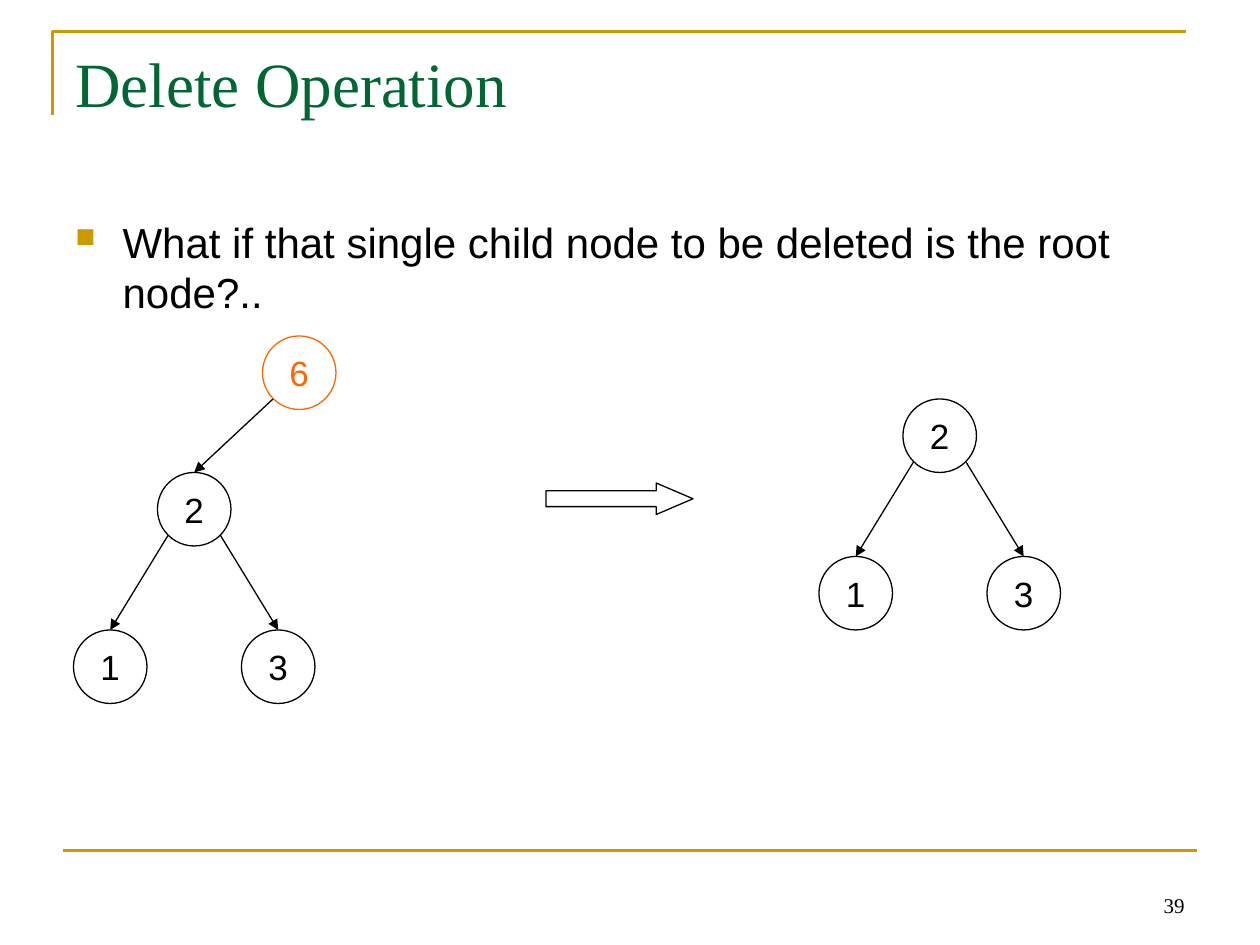
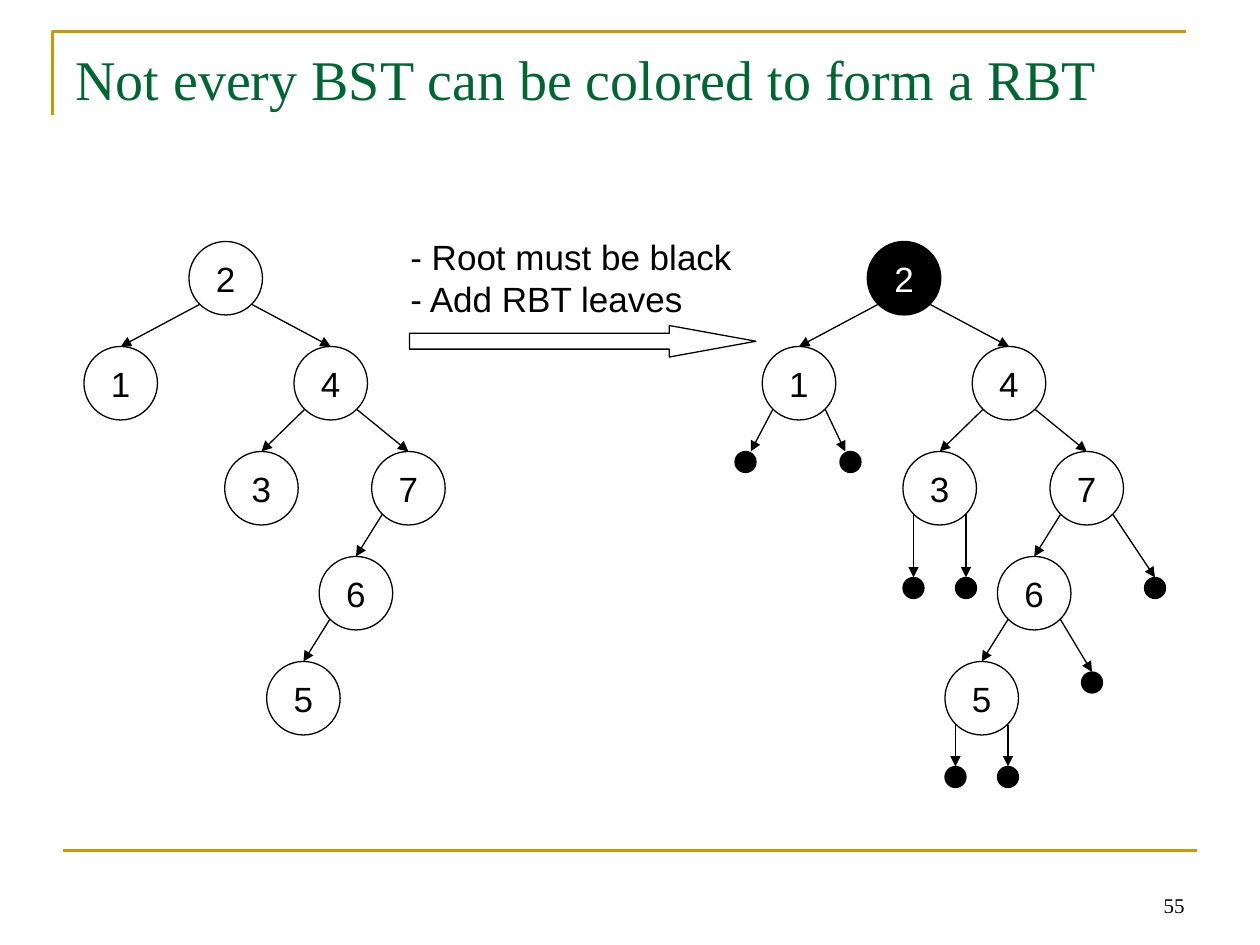
from lxml.etree import SubElement
from pptx import Presentation
from pptx.dml.color import RGBColor
from pptx.enum.shapes import MSO_CONNECTOR as LINK, MSO_SHAPE as SHAPE
from pptx.enum.text import MSO_ANCHOR as ANCHOR, PP_ALIGN as ALIGN
from pptx.oxml.ns import qn
from pptx.util import Pt

PX = 7620
NODE = 70
LEAF = 20
CORNER = 10
GOLD = RGBColor(0xCC, 0x99, 0x00)
GREEN = RGBColor(0x00, 0x66, 0x33)
ORANGE = RGBColor(0xFF, 0x66, 0x00)
BLACK = RGBColor(0x00, 0x00, 0x00)
WHITE = RGBColor(0xFF, 0xFF, 0xFF)
SERIF = "Times New Roman"
SANS = "Arial"


def write(shape, text, size, font=SANS, color=BLACK, align=ALIGN.LEFT,
          anchor=ANCHOR.TOP, wrap=True, margins=None, bullet=None):
    frame = shape.text_frame
    frame.word_wrap = wrap
    frame.vertical_anchor = anchor
    if margins is not None:
        frame.margin_left = frame.margin_right = margins
        frame.margin_top = frame.margin_bottom = margins
    frame.text = text
    for paragraph in frame.paragraphs:
        paragraph.alignment = align
        if bullet:
            properties = paragraph._p.get_or_add_pPr()
            properties.set("marL", str(45 * PX))
            properties.set("indent", str(-45 * PX))
            tint = SubElement(properties, qn("a:buClr"))
            SubElement(tint, qn("a:srgbClr"), val=str(GOLD))
            SubElement(properties, qn("a:buSzPct"), val="65000")
            SubElement(properties, qn("a:buChar"), char=bullet)
        for run in paragraph.runs:
            run.font.size = Pt(size)
            run.font.name = font
            run.font.color.rgb = color


def outline(item, color=BLACK, width=0.75, fill=None, arrowhead=False):
    item.line.color.rgb = color
    item.line.width = Pt(width)
    properties = item._element.spPr
    if arrowhead:
        SubElement(properties.find(qn("a:ln")), qn("a:tailEnd"), type="triangle")
    if item._element.tag == qn("p:cxnSp"):
        SubElement(properties, qn("a:effectLst"))
        return
    item.shadow.inherit = False
    if fill is None:
        item.fill.background()
    else:
        item.fill.solid()
        item.fill.fore_color.rgb = fill


single_child_root = [
    ("6", 250, 320, None),
    ("2", 150, 450, "6"),
    ("1", 70, 600, "2"),
    ("3", 230, 600, "2"),
]
after_delete = [
    ("2", 860, 380, None),
    ("1", 780, 530, "2"),
    ("3", 940, 530, "2"),
]
plain_bst = [
    ("2", 180, 230, None),
    ("1", 80, 330, "2"),
    ("4", 280, 330, "2"),
    ("3", 214, 430, "4"),
    ("7", 354, 430, "4"),
    ("6", 304, 530, "7"),
    ("5", 254, 630, "6"),
]
rbt_attempt = [(key, x + 646, y, parent) for key, x, y, parent in plain_bst]
rbt_leaves = [
    ("", 700, 430, "1"),
    ("", 800, 430, "1"),
    ("", 860, 550, "3"),
    ("", 910, 550, "3"),
    ("", 1090, 550, "7"),
    ("", 1030, 640, "6"),
    ("", 900, 730, "5"),
    ("", 950, 730, "5"),
]
leaf_aims = {700: 5, 800: -5}

pages = [
    dict(title="Delete Operation", title_size=36, number="39",
         trees=[(single_child_root, ORANGE, None), (after_delete, BLACK, None)],
         step_arrow=(520, 460, 140), head=1.167),
    dict(title="Not every BST can be colored to form a RBT", title_size=32, number="55",
         trees=[(plain_bst, BLACK, None), (rbt_attempt + rbt_leaves, BLACK, BLACK)],
         step_arrow=(390, 310, 330), head=2.75),
]

deck = Presentation()
deck.slide_width = 1200 * PX
deck.slide_height = 900 * PX
slides = []

for page in pages:
    slide = deck.slides.add_slide(deck.slide_layouts[6])
    slides.append(slide)
    shapes = slide.shapes

    corner_builder = shapes.build_freeform(50, 110, scale=PX)
    corner_builder.add_line_segments([(50, 30), (1130, 30)], close=False)
    outline(corner_builder.convert_to_shape(), GOLD, 1.5)
    footer_rule = shapes.add_connector(
        LINK.STRAIGHT, 60 * PX, 810 * PX, 1140 * PX, 810 * PX)
    outline(footer_rule, GOLD, 1.5)

    page_number = shapes.add_textbox(860 * PX, 820 * PX, 280 * PX, 60 * PX)
    write(page_number, page["number"], 12, font=SERIF, align=ALIGN.RIGHT,
          anchor=ANCHOR.BOTTOM)
    title = shapes.add_textbox(60 * PX, 36 * PX, 1080 * PX, 150 * PX)
    write(title, page["title"], page["title_size"], font=SERIF, color=GREEN)

    for tree, root_color, root_fill in page["trees"]:
        placed = {}
        for key, x, y, parent in tree:
            size = NODE if key else LEAF
            color = BLACK if parent else root_color
            fill = None if parent else root_fill
            circle = shapes.add_shape(SHAPE.OVAL, x * PX, y * PX, size * PX, size * PX)
            outline(circle, color, fill=fill if key else BLACK)
            if key:
                placed[key] = (x, y)
                write(circle, key, 20, color=WHITE if fill else color, align=ALIGN.CENTER,
                      anchor=ANCHOR.MIDDLE, wrap=False, margins=0)
            if parent:
                parent_x, parent_y = placed[parent]
                aim = 0 if key else leaf_aims.get(x, 0)
                target = x + size // 2 + aim
                to_left = target < parent_x + NODE // 2
                start = parent_x + (CORNER if to_left else NODE - CORNER)
                edge = shapes.add_connector(
                    LINK.STRAIGHT, start * PX, (parent_y + NODE - CORNER) * PX,
                    target * PX, y * PX)
                if not aim:
                    edge.end_connect(circle, 0)
                outline(edge, arrowhead=True)

    left, top, width = page["step_arrow"]
    step_arrow = shapes.add_shape(
        SHAPE.RIGHT_ARROW, left * PX, top * PX, width * PX, 30 * PX)
    step_arrow.adjustments[1] = page["head"]
    outline(step_arrow)

delete_slide, coloring_slide = slides
question = delete_slide.shapes.add_textbox(60 * PX, 200 * PX, 1080 * PX, 595 * PX)
write(question, "What if that single child node to be deleted is the root node?..", 24,
      bullet="■")
rules = coloring_slide.shapes.add_textbox(379 * PX, 218 * PX, 330 * PX, 92 * PX)
write(rules, "- Root must be black\n- Add RBT leaves", 20, wrap=False)

deck.save("out.pptx")
